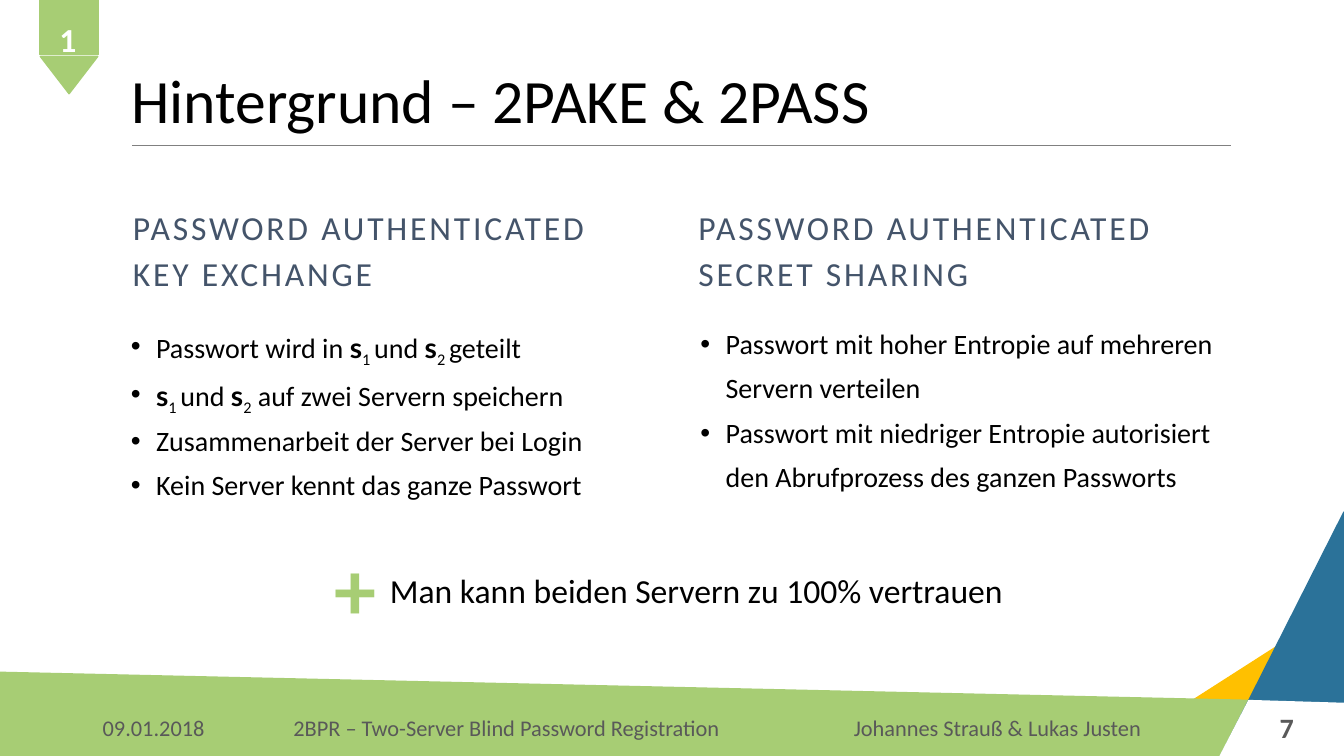
"""Builds the slide on the 2PAKE and 2PASS background."""
from dataclasses import dataclass

from lxml.etree import SubElement
from pptx import Presentation
from pptx.dml.color import RGBColor
from pptx.enum.shapes import MSO_CONNECTOR as Connector, MSO_SHAPE as Preset
from pptx.enum.text import MSO_ANCHOR as Anchor, MSO_AUTO_SIZE as AutoSize, PP_ALIGN as Align
from pptx.oxml.ns import qn
from pptx.util import Inches, Pt


@dataclass(frozen=True)
class Theme:
    font: str = "Calibri"
    key_font: str = "Lato"
    black: str = "000000"
    white: str = "FFFFFF"
    heading: str = "44546A"
    footer: str = "595959"
    rule: str = "808080"
    green: str = "A7CD74"
    blue: str = "2B7299"
    yellow: str = "FFC000"
    title_size: int = 44
    plus_size: int = 60
    large_size: int = 24
    list_size: int = 20
    footer_size: int = 16


theme = Theme()
presentation = Presentation()
presentation.slide_width, presentation.slide_height = Inches(13.33), Inches(7.5)
column, row = presentation.slide_width / 40, presentation.slide_height / 30
slide = presentation.slides.add_slide(presentation.slide_layouts[5])


def grid(left, top, width, height):
    return [round(length) for length in (left * column, top * row, width * column, height * row)]


def write(shape, lines, size, color, bold=False, align=Align.LEFT, anchor=Anchor.TOP, spacing=1.0, before=0):
    frame = shape.text_frame
    frame.word_wrap, frame.auto_size, frame.vertical_anchor = True, AutoSize.NONE, anchor
    for number, line in enumerate(lines):
        paragraph = frame.paragraphs[0] if number == 0 else frame.add_paragraph()
        paragraph.alignment, paragraph.line_spacing = align, spacing
        paragraph.space_before = Pt(before if number else 0)
        for text, kind in line:
            run = paragraph.add_run()
            run.text = text
            run.font.name = theme.key_font if kind == "key" else theme.font
            run.font.size, run.font.bold = Pt(size), bold or kind == "key"
            run.font.color.rgb = RGBColor.from_string(color)
            if kind == "index":
                run._r.get_or_add_rPr().set("baseline", "-25000")
            if kind == "spaced":
                run._r.get_or_add_rPr().set("spc", "200")


yellow_corner = [(38.58, 25.16), (34.41, 28.72), (38.01, 28.96), (39.45, 26.32)]
green_band = [(0, 26.68), (0, 30), (40, 30), (40, 27.88)]
blue_corner = [(36.3, 30.08), (40, 20.32), (40, 30.04)]
white_corner = [(36.27, 30.12), (37.17, 27.8), (40.14, 27.92), (40.14, 30.08)]
decorations = []
for points, color in (
    (yellow_corner, theme.yellow),
    (green_band, theme.green),
    (blue_corner, theme.blue),
    (white_corner, theme.white),
):
    corners = [(round(x * column), round(y * row)) for x, y in points]
    builder = slide.shapes.build_freeform(*corners[0])
    builder.add_line_segments(corners[1:], close=True)
    decorations.append((builder.convert_to_shape(), color))

badge_body = slide.shapes.add_shape(Preset.RECTANGLE, *grid(1.17, 0, 1.77, 2.16))
badge_tip = slide.shapes.add_shape(Preset.ISOSCELES_TRIANGLE, *grid(1.2, 2.24, 1.71, 1.48))
badge_tip.rotation = 180
decorations += [(badge_body, theme.green), (badge_tip, theme.green)]
for shape, color in decorations:
    shape.shadow.inherit = False
    shape.fill.solid()
    shape.fill.fore_color.rgb = shape.line.color.rgb = RGBColor.from_string(color)
    shape.line.width = Pt(1)

start_x, rule_y, end_x, _ = grid(3.93, 5.76, 36.63, 0)
rule = slide.shapes.add_connector(Connector.STRAIGHT, start_x, rule_y, end_x, rule_y)
rule.line.color.rgb = RGBColor.from_string(theme.rule)
rule.line.width = Pt(0.5)
SubElement(rule._element.spPr, qn("a:effectLst"))

title = slide.shapes.title
title.left, title.top, title.width, title.height = grid(3.6, -0.72, 29.4, 6.36)
write(title, [[("Hintergrund – 2PAKE & 2PASS", "plain")]], theme.title_size, theme.black,
      anchor=Anchor.BOTTOM, spacing=0.9)

exchange_points = [
    (True, [("Passwort wird in ", "plain"), ("s", "key"), ("1 ", "index"), ("und ", "plain"),
            ("s", "key"), ("2 ", "index"), ("geteilt", "plain")]),
    (True, [("s", "key"), ("1 ", "index"), ("und ", "plain"), ("s", "key"), ("2", "index"),
            (" auf zwei Servern speichern", "plain")]),
    (True, [("Zusammenarbeit der Server bei Login", "plain")]),
    (True, [("Kein Server kennt das ganze Passwort", "plain")]),
]
sharing_points = [
    (True, [("Passwort mit hoher Entropie auf mehreren", "plain")]),
    (False, [("Servern verteilen", "plain")]),
    (True, [("Passwort mit niedriger Entropie autorisiert", "plain")]),
    (False, [("den Abrufprozess des ganzen Passworts", "plain")]),
]
for heading_left, list_left, subject, points in (
    (3.66, 3.6, "KEY EXCHANGE", exchange_points),
    (20.49, 20.55, "SECRET SHARING", sharing_points),
):
    heading = slide.shapes.add_textbox(*grid(heading_left, 8.24, 16.95, 3.6))
    heading_lines = [[(text, "spaced")] for text in ("PASSWORD AUTHENTICATED", subject)]
    write(heading, heading_lines, theme.large_size, theme.heading,
          anchor=Anchor.BOTTOM, spacing=0.8, before=10)
    bullets = slide.shapes.add_textbox(*grid(list_left, 12.92, 16.95, 7.12))
    write(bullets, [line for _, line in points], theme.list_size, theme.black, spacing=0.9, before=10)
    for paragraph, (bulleted, _) in zip(bullets.text_frame.paragraphs, points):
        properties = paragraph._p.get_or_add_pPr()
        indent = Inches(0.25)
        properties.set("marL", str(indent))
        properties.set("indent", str(-indent if bulleted else 0))
        if bulleted:
            SubElement(properties, qn("a:buFont")).set("typeface", "Arial")
            SubElement(properties, qn("a:buChar")).set("char", "•")

conclusion = slide.shapes.add_group_shape()
plus = conclusion.shapes.add_textbox(*grid(9.66, 21.08, 2.1, 4.44))
write(plus, [[("+", "plain")]], theme.plus_size, theme.green, bold=True, anchor=Anchor.MIDDLE)
statement = conclusion.shapes.add_textbox(*grid(11.31, 22.4, 19.02, 2))
write(statement, [[("Man kann beiden Servern zu 100% vertrauen", "plain")]], theme.large_size, theme.black)
statement.text_frame.word_wrap = False
statement.text_frame.auto_size = AutoSize.SHAPE_TO_FIT_TEXT

badge_number = slide.shapes.add_textbox(*grid(1.47, 0.56, 1.47, 2))
write(badge_number, [[("1", "plain")]], theme.large_size, theme.white, bold=True)

for left, width, text, size, bold, align in (
    (2.76, 4.23, "09.01.2018", theme.footer_size, False, Align.LEFT),
    (6.96, 16.23, "2BPR – Two-Server Blind Password Registration", theme.footer_size, False, Align.CENTER),
    (23.22, 12.93, "Johannes Strauß & Lukas Justen", theme.footer_size, False, Align.CENTER),
    (37.11, 2.37, "7", theme.list_size, True, Align.CENTER),
):
    footer = slide.shapes.add_textbox(*grid(left, 28.08, width, 1.6))
    write(footer, [[(text, "plain")]], size, theme.footer, bold=bold, align=align, anchor=Anchor.MIDDLE)

presentation.save("out.pptx")
